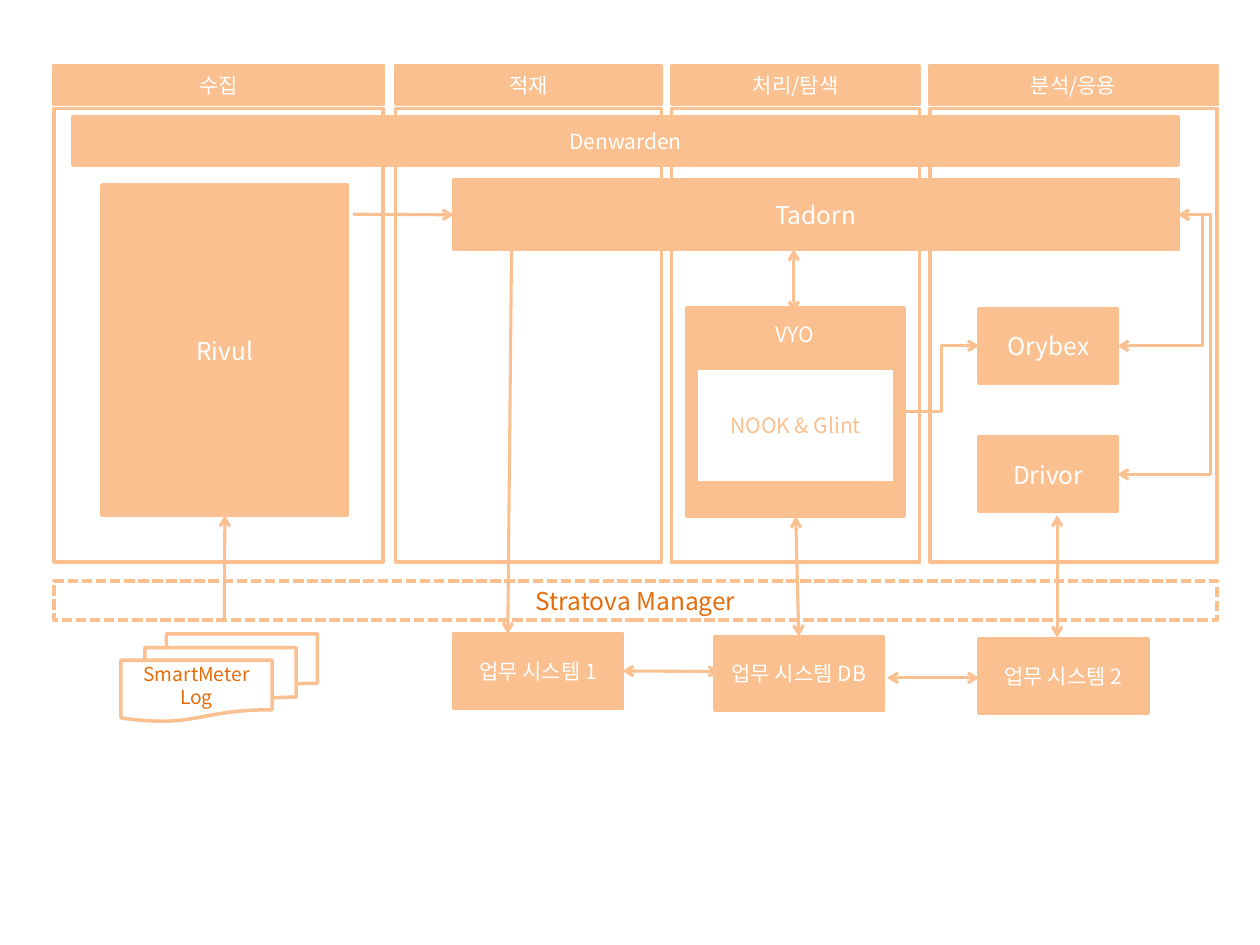
from lxml import etree
from pptx import Presentation
from pptx.dml.color import RGBColor
from pptx.enum.dml import MSO_LINE
from pptx.enum.shapes import MSO_CONNECTOR, MSO_SHAPE
from pptx.enum.text import MSO_ANCHOR, PP_ALIGN
from pptx.oxml.ns import qn
from pptx.util import Pt

PX = 9144
FONT = "Noto Sans CJK KR"
COLORS = {"peach": "FAC090", "white": "FFFFFF", "orange": "E46C0A"}
RECT, DOCUMENT = MSO_SHAPE.RECTANGLE, MSO_SHAPE.FLOWCHART_DOCUMENT
STRAIGHT, ELBOW = MSO_CONNECTOR.STRAIGHT, MSO_CONNECTOR.ELBOW
DASH = MSO_LINE.SQUARE_DOT
MIDDLE, CENTER = MSO_ANCHOR.MIDDLE, PP_ALIGN.CENTER
TOP, LEFT, BOTTOM, RIGHT = range(4)


def color(name):
    """Return the palette colour called name."""
    return RGBColor.from_string(COLORS[name])


def add_block(shapes, box, text="", size=12, fill="peach", ink="white", kind=RECT):
    """Add an outlined block with optional centred text."""
    block = shapes.add_shape(kind, *(v * PX for v in box))
    block.shadow.inherit = False
    if fill:
        block.fill.solid()
        block.fill.fore_color.rgb = color(fill)
    else:
        block.fill.background()
    block.line.color.rgb = color("peach")
    block.line.width = Pt(2)
    if text:
        frame = block.text_frame
        frame.word_wrap = True
        frame.vertical_anchor = MIDDLE
        paragraph = frame.paragraphs[0]
        paragraph.alignment = CENTER
        run = paragraph.add_run()
        run.text = text
        run.font.size = Pt(size)
        run.font.color.rgb = color(ink)
        run.font.name = FONT
        etree.SubElement(run.font._element, qn("a:ea"), typeface=FONT)
    return block


def add_arrow(shapes, start, end, both=True, kind=STRAIGHT, bend=None, turn=0):
    """Link two ends, each an (x, y) point or a (block, side) joint."""
    arrow = shapes.add_connector(kind, 0, 0, 0, 0)
    if isinstance(start[0], int):
        arrow.begin_x, arrow.begin_y = (v * PX for v in start)
    else:
        arrow.begin_connect(*start)
    if isinstance(end[0], int):
        arrow.end_x, arrow.end_y = (v * PX for v in end)
    else:
        arrow.end_connect(*end)
    arrow.line.color.rgb = color("peach")
    arrow.line.width = Pt(1.75)
    properties = arrow._element.spPr
    line = properties.find(qn("a:ln"))
    for tag in ("a:headEnd", "a:tailEnd") if both else ("a:tailEnd",):
        etree.SubElement(line, qn(tag), type="arrow")
    etree.SubElement(properties, qn("a:effectLst"))
    if bend is not None:
        guides = properties.find(".//" + qn("a:avLst"))
        etree.SubElement(guides, qn("a:gd"), name="adj1", fmla=f"val {bend}")
    if turn:
        properties.find(qn("a:xfrm")).set("rot", str(turn * 60000))


def add_stages(shapes, box):
    """Add the four stage columns, each a header over an open frame."""
    left, top, height = box
    stages = [("수집", 0, 261), ("적재", 271, 211),
              ("처리/탐색", 490, 197), ("분석/응용", 695, 228)]
    for stage, offset, width in stages:
        add_block(shapes, (left + offset, top, width, 31), stage)
        add_block(shapes, (left + offset, top + 34, width, height - 34), fill=None)


def add_explorer(shapes, box):
    """Add the explorer panel with its label and query engines."""
    left, top, width, height = box
    panel = add_block(shapes, box)
    add_block(shapes, (left + 8, top + 48, width - 16, height - 75),
              "NOOK & Glint", fill="white", ink="peach")
    add_block(shapes, (left + 39, top + 5, 93, 32), "VYO")
    return panel


def add_platform(shapes, box):
    """Add the data platform blocks and return those that get linked."""
    left, top, width = box
    right = left + width
    add_block(shapes, (left, top, width, 38), "Denwarden")
    return {
        "collector": add_block(shapes, (left + 23, top + 54, 195, 262), "Rivul", 14),
        "storage": add_block(shapes, (right - 575, top + 50, 575, 55), "Tadorn", 14),
        "explorer": add_explorer(shapes, (right - 390, top + 151, 173, 166)),
        "query": add_block(shapes, (right - 158, top + 152, 110, 59), "Orybex", 14),
        "learning": add_block(shapes, (right - 158, top + 254, 110, 59), "Drivor", 14),
    }


def add_log_stack(shapes, box):
    """Add the stack of three log documents, front one labelled."""
    left, top, width, height = box
    stack = shapes.add_group_shape().shapes
    for dx, dy, label in [(36, 0, ""), (19, 11, ""), (0, 21, "SmartMeter Log")]:
        add_block(stack, (left + dx, top + dy, width, height), label, 11,
                  "white", "orange", DOCUMENT)


def add_manager(shapes, box):
    """Add the dashed cluster manager bar."""
    bar = add_block(shapes, box, "Stratova Manager", 14, "white", "orange")
    bar.line.dash_style = DASH


def add_systems(shapes, box):
    """Add the three business systems and return them by suffix."""
    left, top = box
    systems = [("1", 0, 0), ("DB", 207, 2), ("2", 417, 4)]
    return {suffix: add_block(shapes, (left + dx, top + dy, 134, 59), f"업무 시스템 {suffix}")
            for suffix, dx, dy in systems}


def add_flows(shapes, platform, systems):
    """Add the arrows between platform blocks and business systems."""
    storage, explorer, query = (platform[k] for k in ("storage", "explorer", "query"))
    add_arrow(shapes, (explorer, RIGHT), (query, LEFT), False, ELBOW)
    add_arrow(shapes, (storage, RIGHT), (query, RIGHT), True, ELBOW, -40900)
    add_arrow(shapes, (storage, RIGHT), (platform["learning"], RIGHT), True, ELBOW, -53000)
    add_arrow(shapes, (655, 223), (605, 223), True, ELBOW, turn=270)
    add_arrow(shapes, (839, 409), (839, 506))
    add_arrow(shapes, (704, 538), (777, 538))
    add_arrow(shapes, (systems["1"], RIGHT), (571, 533))
    add_arrow(shapes, (explorer, BOTTOM), (systems["DB"], TOP))
    add_arrow(shapes, (406, 198), (403, 503), False)
    add_arrow(shapes, (178, 492), (platform["collector"], BOTTOM), False)
    add_arrow(shapes, (280, 170), (storage, LEFT), False)


def main():
    """Build the architecture slide and save it."""
    deck = Presentation()
    deck.slide_width, deck.slide_height = 1000 * PX, 750 * PX
    shapes = deck.slides.add_slide(deck.slide_layouts[6]).shapes
    add_stages(shapes, (43, 52, 394))
    platform = add_platform(shapes, (58, 93, 877))
    add_log_stack(shapes, (96, 503, 120, 49))
    systems = add_systems(shapes, (360, 503))
    add_manager(shapes, (43, 461, 923, 31))
    add_flows(shapes, platform, systems)
    deck.save("out.pptx")


if __name__ == "__main__":
    main()
